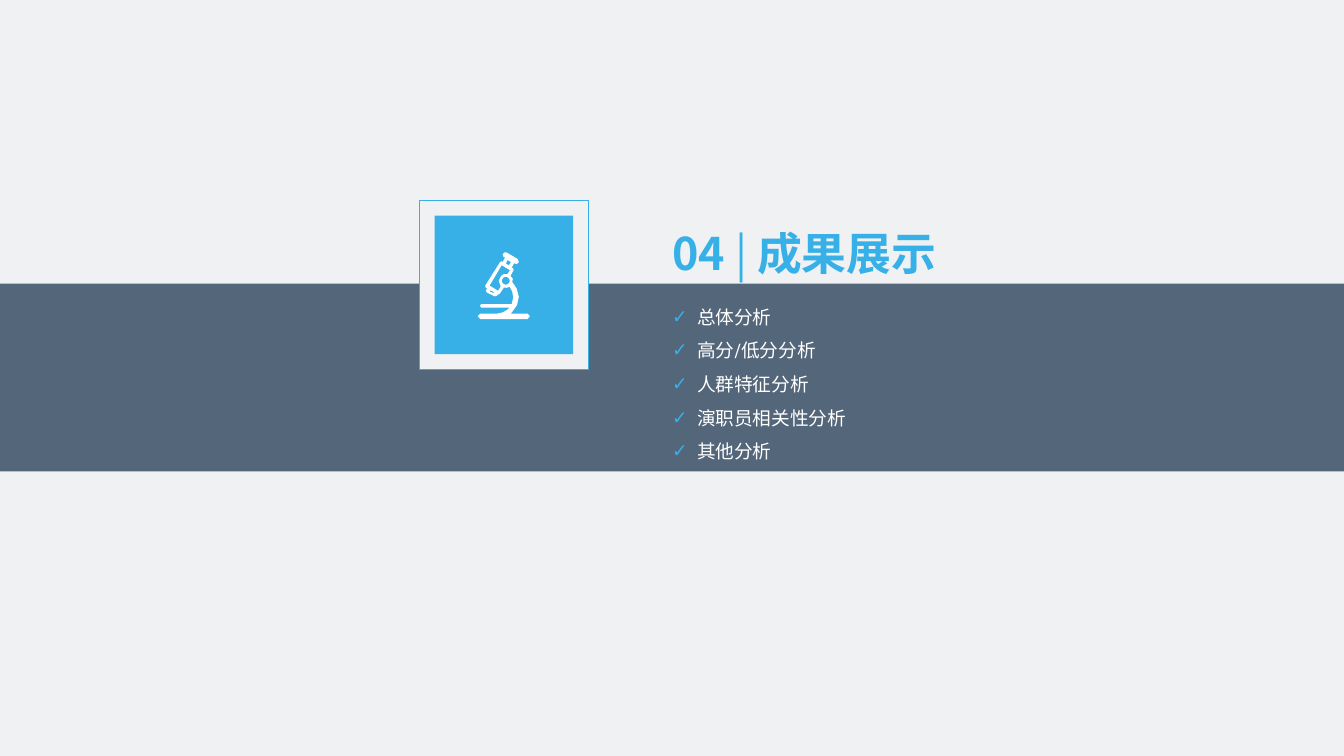
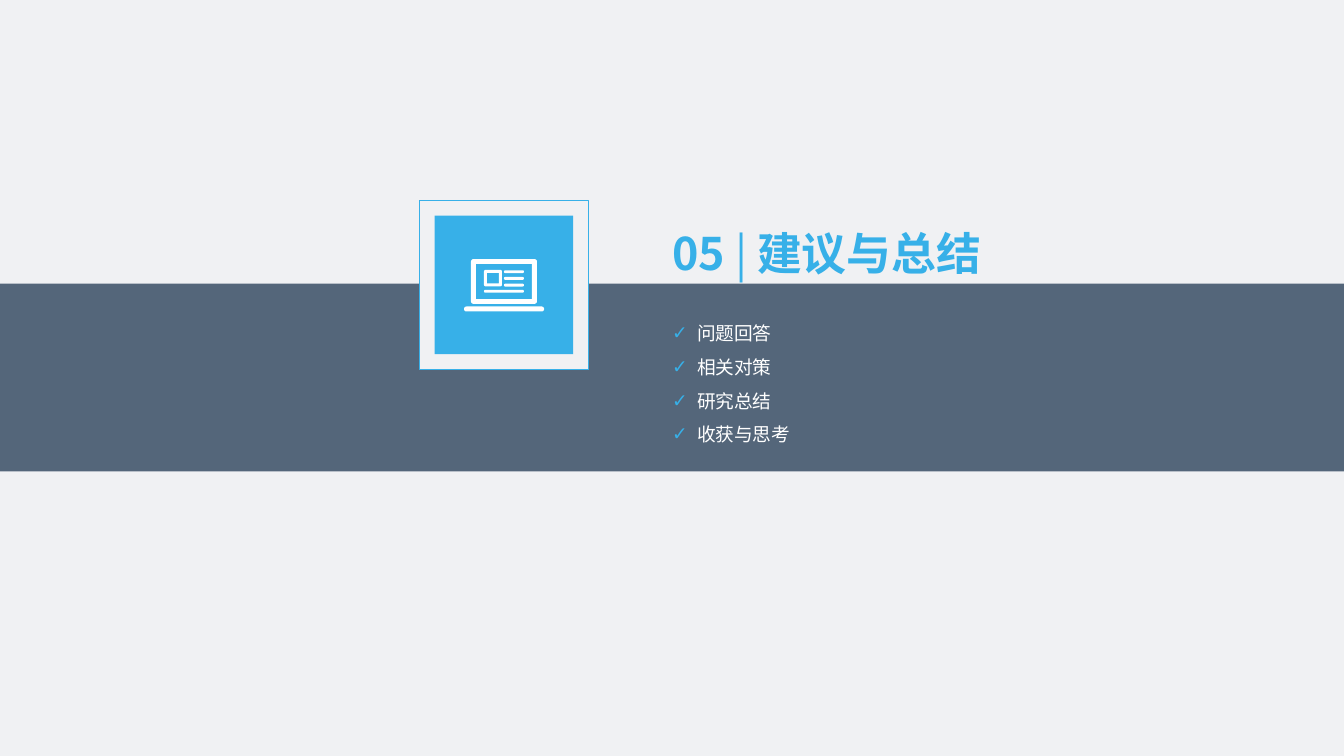
from math import cos, pi, sin

from lxml.etree import SubElement
from pptx import Presentation
from pptx.dml.color import RGBColor
from pptx.enum.shapes import MSO_SHAPE as Preset
from pptx.enum.text import MSO_ANCHOR as Anchor, MSO_AUTO_SIZE as AutoSize, PP_ALIGN as Align
from pptx.oxml.ns import qn
from pptx.util import Pt

PALE = RGBColor(0xF0, 0xF1, 0xF3)
SLATE = RGBColor(0x54, 0x66, 0x7A)
BLUE = RGBColor(0x37, 0xB0, 0xE8)
WHITE = RGBColor(0xFF, 0xFF, 0xFF)
TITLE_FONT, LIST_FONT = "Noto Sans CJK SC", "Roboto Condensed"

WIDTH, HEIGHT = 720, 405
BAND_TOP, BAND_HEIGHT = 152, 100.6
ICON_CENTER = (270, 152.6)
FRAME_SIZE, TILE_SIZE = 90.7, 74.2
TEXT_LEFT, TITLE_TOP, LIST_MIDDLE, ITEM_HEIGHT = 360, 106.6, 202, 17.7


def circle(x, y, radius, steps=20):
    return [(x + radius * cos(2 * pi * i / steps), y + radius * sin(2 * pi * i / steps))
            for i in range(steps)]


def rounded_box(left, top, width, height, radius):
    right, bottom = left + width - radius, top + height - radius
    corners = [(right, bottom), (left + radius, bottom),
               (left + radius, top + radius), (right, top + radius)]
    return [(x + radius * cos(angle), y + radius * sin(angle))
            for quarter, (x, y) in enumerate(corners)
            for angle in [(quarter + step / 4) * pi / 2 for step in range(5)]]


MICROSCOPE = [
    [(274.4, 151), (276.8, 154.5), (278, 159), (277, 163.5), (274.5, 167), (273.6, 168),
     (282.7, 168), (283.9, 169.4), (282.7, 170.9), (257.3, 170.9), (256, 169.4), (257.3, 168),
     (266.5, 168), (269.5, 167.3), (272, 165.8), (273, 164.8), (257.8, 164.8), (257.2, 163.8),
     (257.8, 162.9), (274.2, 162.9), (275, 159.3), (274.4, 156), (273, 153.6), (271.5, 154.2),
     (270, 154), (267.6, 157.6), (266.8, 157.8), (266.2, 158.5), (265, 158.8), (260.9, 156.7),
     (260.3, 155.8), (261, 154.6), (260.3, 154.2), (260, 153), (267.8, 140.6), (268.6, 140),
     (269.4, 140.3), (270.6, 138), (269.8, 137.6), (269.3, 136.3), (270.3, 135.2),
     (271.4, 135.2), (277.4, 138.8), (278, 140.4), (277, 141.4), (275.4, 141.1),
     (274.2, 143.3), (275, 143.8), (275.2, 144.7), (273.5, 147.8), (274.8, 149.4)],
    [(273.8, 140.5), (272, 139.3), (271, 141.1), (272.6, 142.2)],
    [(271.9, 146.8), (273.3, 144.8), (268.8, 142.1), (262.3, 153), (266.9, 155.8),
     (268.3, 153.4), (267.2, 150.5), (268.5, 147.8), (270, 146.8)],
    circle(271, 150.4, 2.1),
    [(262.9, 155.5), (262.3, 156.2), (264.5, 157.1), (264.6, 156.6)],
]
LAPTOP = [rounded_box(*box) for box in [
    (252.3, 138.8, 35.4, 24, 1.4), (255, 141.4, 30, 18.8, 0),
    (259.3, 144.6, 9.6, 8.8, 0.8), (260.9, 146.2, 6.4, 5.6, 0),
    *[(270, 144.8 + 3.6 * row, 10.7, 1.5, 0.7) for row in range(3)],
    (259.3, 155.3, 21.4, 1.5, 0.7), (248.6, 164.2, 42.9, 2.7, 1.3),
]]

SECTIONS = [
    ("04", "成果展示", ["总体分析", "高分/低分分析", "人群特征分析", "演职员相关性分析", "其他分析"],
     MICROSCOPE),
    ("05", "建议与总结", ["问题回答", "相关对策", "研究总结", "收获与思考"], LAPTOP),
]


def paint(shape, fill, line=None):
    shape.shadow.inherit = False
    shape.fill.solid()
    shape.fill.fore_color.rgb = fill
    if line is None:
        shape.line.fill.background()
    else:
        shape.line.color.rgb = line
        shape.line.width = Pt(0.5)


def add_box(slide, left, top, width, height, fill, line=None):
    shape = slide.shapes.add_shape(Preset.RECTANGLE, Pt(left), Pt(top), Pt(width), Pt(height))
    paint(shape, fill, line)


def add_square(slide, size, fill, line=None):
    x, y = ICON_CENTER
    add_box(slide, x - size / 2, y - size / 2, size, size, fill, line)


def add_icon(slide, outlines):
    builder = None
    for outline in outlines:
        first, *rest = [(Pt(x), Pt(y)) for x, y in outline]
        if builder is None:
            builder = slide.shapes.build_freeform(*first, scale=1)
        else:
            builder.move_to(*first)
        builder.add_line_segments(rest, close=True)
    paint(builder.convert_to_shape(), WHITE)


def add_run(paragraph, text, *, font, size, color, bold=False):
    run = paragraph.add_run()
    run.text = text
    run.font.name, run.font.size, run.font.bold = font, Pt(size), bold
    run.font.color.rgb = color
    SubElement(run.font._element, qn("a:ea"), typeface=font)


def place(slide, shape, top, width, height):
    shape.left, shape.top, shape.width, shape.height = map(Pt, (TEXT_LEFT, top, width, height))
    slide.shapes.element.append(shape.element)
    frame = shape.text_frame
    frame.margin_left = frame.margin_right = frame.margin_top = frame.margin_bottom = 0
    frame.word_wrap = True
    frame.auto_size = AutoSize.SHAPE_TO_FIT_TEXT
    frame.vertical_anchor = Anchor.TOP
    return frame


def format_paragraph(paragraph):
    paragraph.alignment = Align.LEFT
    paragraph.line_spacing = 1.5
    paragraph.space_before = paragraph.space_after = Pt(0)


def add_check(paragraph):
    properties = paragraph._p.get_or_add_pPr()
    properties.set("marL", str(Pt(13.5)))
    properties.set("indent", str(-Pt(13.5)))
    bullet_color = SubElement(properties, qn("a:buClr"))
    SubElement(bullet_color, qn("a:srgbClr"), val=str(BLUE))
    SubElement(properties, qn("a:buChar"), char="✓")


def add_section(presentation, number, title, items, icon):
    slide = presentation.slides.add_slide(presentation.slide_layouts[1])
    add_box(slide, 0, BAND_TOP, WIDTH, BAND_HEIGHT, SLATE)
    add_square(slide, FRAME_SIZE, PALE, BLUE)
    add_square(slide, TILE_SIZE, BLUE)

    height = ITEM_HEIGHT * len(items)
    frame = place(slide, slide.placeholders[1], LIST_MIDDLE - height / 2, 112.3, height)
    for index, item in enumerate(items):
        paragraph = frame.add_paragraph() if index else frame.paragraphs[0]
        format_paragraph(paragraph)
        add_check(paragraph)
        add_run(paragraph, item, font=LIST_FONT, size=10, color=WHITE)

    heading = place(slide, slide.shapes.title, TITLE_TOP, 187.2, 38.2).paragraphs[0]
    format_paragraph(heading)
    for text, bold in [(number + " ", True), ("| ", False), (title, True)]:
        add_run(heading, text, font=TITLE_FONT, size=24, color=BLUE, bold=bold)
    add_icon(slide, icon)


def main():
    """Build the two section slides and save them."""
    presentation = Presentation()
    presentation.slide_width, presentation.slide_height = Pt(WIDTH), Pt(HEIGHT)
    background = presentation.slide_master.background.fill
    background.solid()
    background.fore_color.rgb = PALE
    for section in SECTIONS:
        add_section(presentation, *section)
    presentation.save("out.pptx")


if __name__ == "__main__":
    main()
